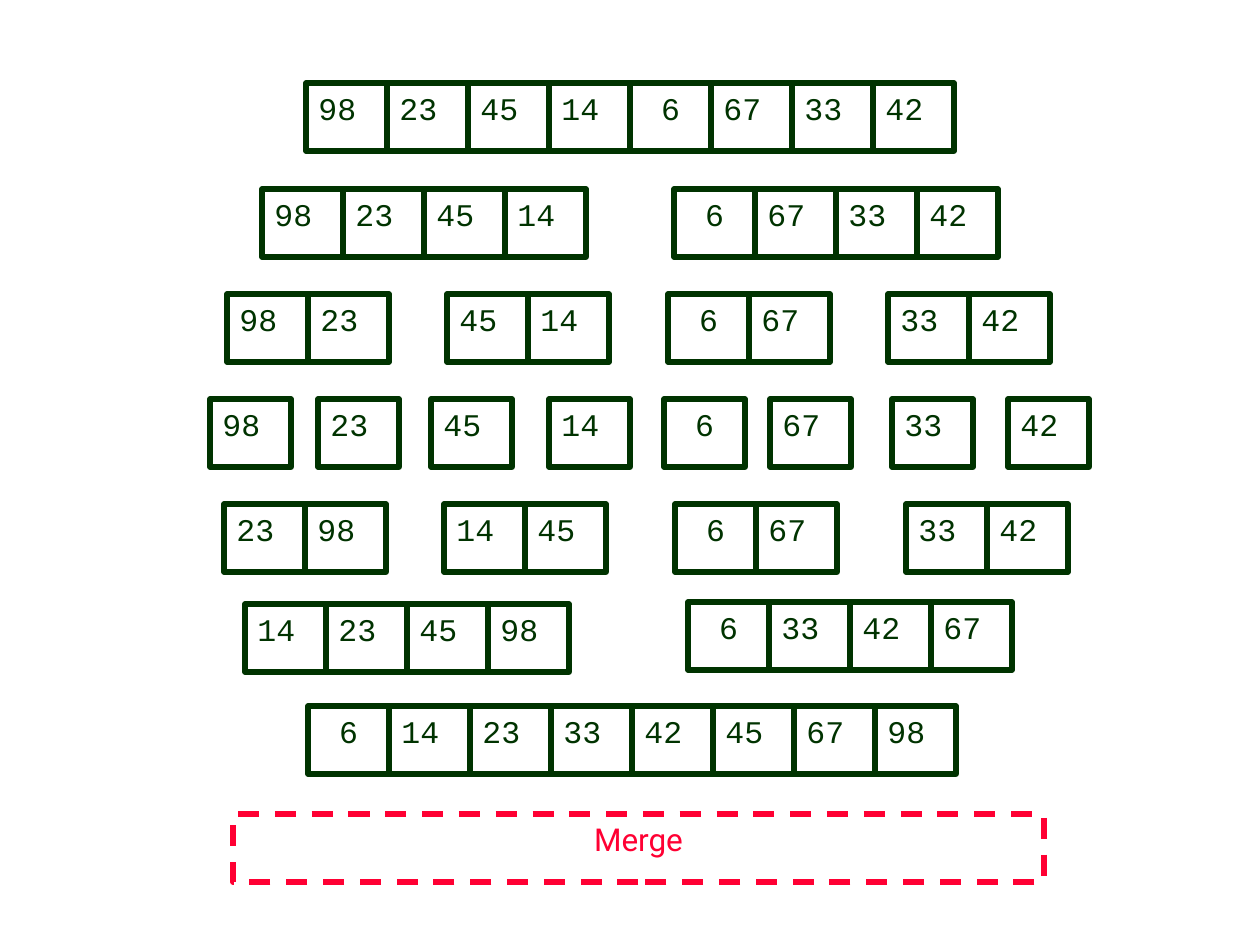
from dataclasses import dataclass

import pptx
import pptx.dml.color
import pptx.enum.dml
import pptx.enum.shapes
import pptx.enum.text
import pptx.util

EMU_PER_PX = 914400 / 126
CELL_WIDTH, CELL_HEIGHT = 81, 68
ALIGN = pptx.enum.text.PP_ALIGN


@dataclass(frozen=True)
class Theme:
    ink: str = "003300"
    accent: str = "FF0033"
    number_font: str = "Courier New"
    label_font: str = "Roboto"
    text_pt: int = 18
    line_pt: int = 3


@dataclass(frozen=True)
class Run:
    """Adjoining cells of one subarray, from its top left corner."""
    left: int
    top: int
    values: tuple[int, ...]


THEME = Theme()

RUNS = (
    Run(306, 83, (98, 23, 45, 14, 6, 67, 33, 42)),
    # Split
    Run(262, 189, (98, 23, 45, 14)),
    Run(674, 189, (6, 67, 33, 42)),
    Run(227, 294, (98, 23)),
    Run(447, 294, (45, 14)),
    Run(668, 294, (6, 67)),
    Run(888, 294, (33, 42)),
    Run(210, 399, (98,)),
    Run(318, 399, (23,)),
    Run(431, 399, (45,)),
    Run(549, 399, (14,)),
    Run(664, 399, (6,)),
    Run(770, 399, (67,)),
    Run(892, 399, (33,)),
    Run(1008, 399, (42,)),
    # Merge
    Run(224, 504, (23, 98)),
    Run(444, 504, (14, 45)),
    Run(675, 504, (6, 67)),
    Run(906, 504, (33, 42)),
    Run(245, 604, (14, 23, 45, 98)),
    Run(688, 602, (6, 33, 42, 67)),
    Run(308, 706, (6, 14, 23, 33, 42, 45, 67, 98)),
)


def px(length: int) -> pptx.util.Emu:
    return pptx.util.Emu(round(length * EMU_PER_PX))


def write(frame, text: str, *, font: str, color: str, align: ALIGN, wrap: bool) -> None:
    frame.word_wrap = wrap
    frame.vertical_anchor = pptx.enum.text.MSO_ANCHOR.TOP
    paragraph = frame.paragraphs[0]
    paragraph.alignment = align
    run = paragraph.add_run()
    run.text = text
    run.font.name = font
    run.font.size = pptx.util.Pt(THEME.text_pt)
    run.font.color.rgb = pptx.dml.color.RGBColor.from_string(color)


def draw_outline(slide, left: int, top: int, width: int, color: str):
    """Add an unfilled rectangle of cell height."""
    outline = slide.shapes.add_shape(
        pptx.enum.shapes.MSO_SHAPE.RECTANGLE,
        px(left), px(top), px(width), px(CELL_HEIGHT))
    outline.shadow.inherit = False
    outline.fill.background()
    outline.line.color.rgb = pptx.dml.color.RGBColor.from_string(color)
    outline.line.width = pptx.util.Pt(THEME.line_pt)
    return outline


def draw_run(slide, run: Run) -> None:
    for index, value in enumerate(run.values):
        cell = draw_outline(slide, run.left + index * CELL_WIDTH, run.top,
                            CELL_WIDTH, THEME.ink)
        write(cell.text_frame, str(value), font=THEME.number_font, color=THEME.ink,
              align=ALIGN.CENTER if value < 10 else ALIGN.LEFT, wrap=False)


def draw_phase(slide, text: str, left: int, top: int, width: int) -> None:
    phase = draw_outline(slide, left, top, width, THEME.accent)
    phase.line.dash_style = pptx.enum.dml.MSO_LINE.DASH
    write(phase.text_frame, text, font=THEME.label_font, color=THEME.accent,
          align=ALIGN.CENTER, wrap=True)


def main() -> None:
    deck = pptx.Presentation()
    deck.slide_width, deck.slide_height = px(1260), px(945)
    slide = deck.slides.add_slide(deck.slide_layouts[6])
    for run in RUNS:
        draw_run(slide, run)
    draw_phase(slide, "Merge", left=233, top=814, width=811)
    deck.save("out.pptx")


if __name__ == "__main__":
    main()
